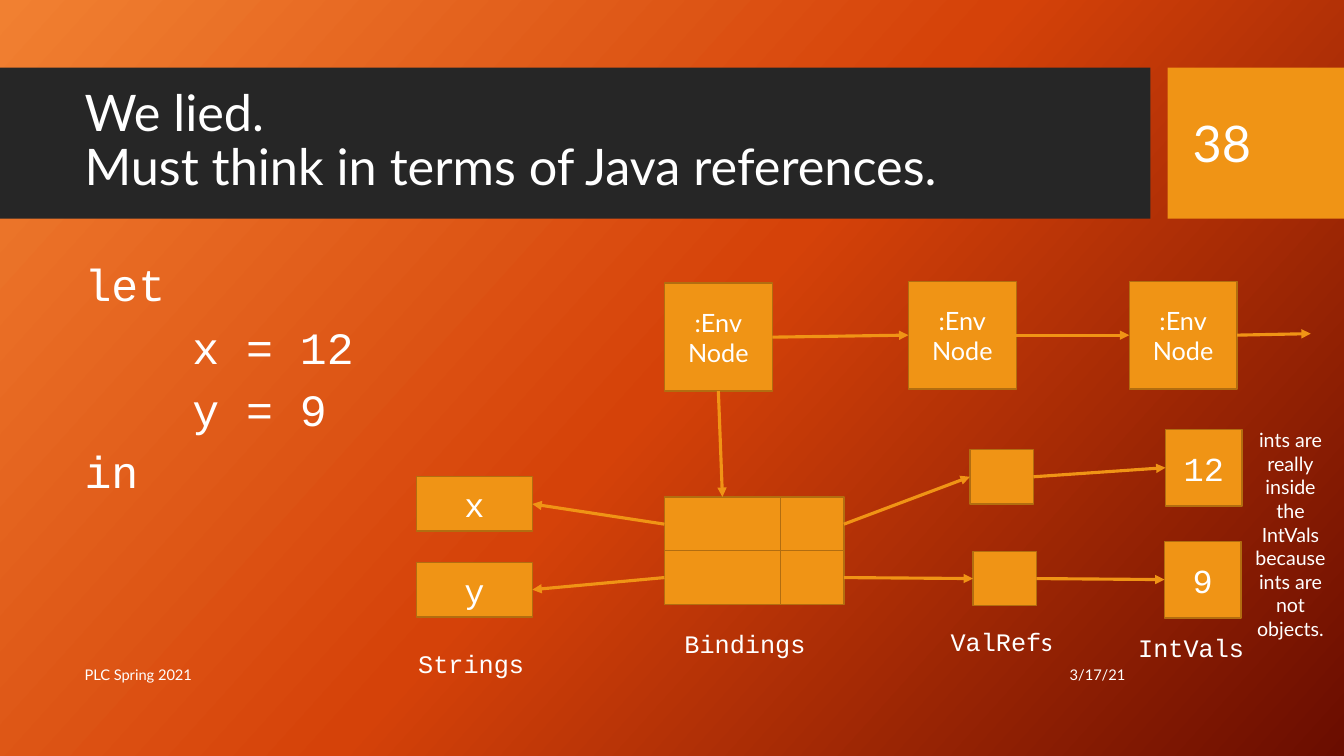
from copy import deepcopy

from lxml.etree import SubElement
from pptx import Presentation
from pptx.dml.color import RGBColor
from pptx.enum.shapes import MSO_CONNECTOR, MSO_SHAPE
from pptx.enum.text import MSO_ANCHOR, MSO_AUTO_SIZE, PP_ALIGN
from pptx.oxml.ns import qn
from pptx.util import Inches, Pt

WHITE = RGBColor(0xFF, 0xFF, 0xFF)
CHARCOAL = RGBColor(0x26, 0x26, 0x26)
ORANGE = RGBColor(0xF0, 0x94, 0x15)
BROWN = RGBColor(0xB2, 0x6D, 0x10)
GRADIENT = (RGBColor(0xF1, 0x80, 0x31), RGBColor(0xD5, 0x42, 0x09),
            RGBColor(0x6A, 0x0D, 0x00))
SANS, MONO = "Lato", "Courier New"
TOP, LEFT, BOTTOM, RIGHT = range(4)  # connection sites of a rectangle


class Diagram:
    """Holds the slide and the style of its elements."""

    def __init__(self, slide):
        """Keep the slide that is drawn on."""
        self.slide = slide

    def background(self, colors, clockwise_angle):
        """Fill the background with an evenly spaced three-colour gradient."""
        fill = self.slide.background.fill
        fill.gradient()
        fill.gradient_angle = 360 - clockwise_angle
        first = self.slide.element.find(".//" + qn("a:gsLst"))[0]
        first.addnext(deepcopy(first))
        for index, (stop, color) in enumerate(zip(fill.gradient_stops, colors)):
            stop.position = index / (len(colors) - 1)
            stop.color.rgb = color

    def add_lines(self, frame, lines, size, font, align=PP_ALIGN.LEFT):
        """Add one paragraph per line and return the paragraphs."""
        for index, line in enumerate(lines):
            paragraph = frame.paragraphs[0] if index == 0 else frame.add_paragraph()
            paragraph.alignment = align
            self.add_words(paragraph, line, size, font)
        return frame.paragraphs

    def add_words(self, paragraph, words, size, font):
        """Add one white run to a paragraph."""
        run = paragraph.add_run()
        run.text = words
        run.font.size = Pt(size)
        run.font.name = font
        run.font.color.rgb = WHITE

    def box(self, left, top, width, height, lines=(), size=24, font=MONO,
            fill=ORANGE, outline=BROWN):
        """Draw a rectangle with centred text."""
        shape = self.slide.shapes.add_shape(
            MSO_SHAPE.RECTANGLE, Inches(left), Inches(top), Inches(width), Inches(height))
        shape.shadow.inherit = False
        shape.fill.solid()
        shape.fill.fore_color.rgb = fill
        if outline is None:
            shape.line.fill.background()
        else:
            shape.line.color.rgb = outline
            shape.line.width = Pt(1)
        shape.text_frame.vertical_anchor = MSO_ANCHOR.MIDDLE
        self.add_lines(shape.text_frame, lines, size, font, PP_ALIGN.CENTER)
        return shape

    def text(self, left, top, width, height, lines, size, font=SANS,
             align=PP_ALIGN.LEFT, anchor=MSO_ANCHOR.TOP, wrap=True, grow=False):
        """Place a text box and return its paragraphs."""
        frame = self.slide.shapes.add_textbox(
            Inches(left), Inches(top), Inches(width), Inches(height)).text_frame
        frame.word_wrap = wrap
        frame.vertical_anchor = anchor
        if grow:
            frame.auto_size = MSO_AUTO_SIZE.SHAPE_TO_FIT_TEXT
        return self.add_lines(frame, lines, size, font, align)

    def label(self, left, top, width, name):
        """Name a group of boxes and return the paragraph."""
        return self.text(left, top, width, 0.4, [name], 18, MONO,
                         wrap=False, grow=True)[0]

    def arrow(self, source, source_site, target=None, target_site=LEFT, end=(0, 0)):
        """Draw an arrow from a box to another box, or to a free end."""
        connector = self.slide.shapes.add_connector(
            MSO_CONNECTOR.STRAIGHT, 0, 0, Inches(end[0]), Inches(end[1]))
        connector.begin_connect(source, source_site)
        if target is not None:
            connector.end_connect(target, target_site)
        connector.line.color.rgb = ORANGE
        connector.line.width = Pt(2.25)
        properties = connector.element.spPr
        SubElement(properties.get_or_add_ln(), qn("a:tailEnd"), type="triangle")
        SubElement(properties, qn("a:effectLst"))


def add_header(diagram):
    """Draw the title band, slide number and footer."""
    diagram.box(0, 0.67, 11.41, 1.5, fill=CHARCOAL, outline=None)
    diagram.box(11.58, 0.67, 1.75, 1.5, outline=None)
    middle = MSO_ANCHOR.MIDDLE
    title = diagram.text(0.74, 0.82, 10.51, 1.18, ["We lied."], 36, anchor=middle)[0]
    title.line_spacing = 0.9
    title.add_line_break()
    diagram.add_words(title, "Must think in terms of Java references.", 36, SANS)
    diagram.text(11.73, 0.82, 1.26, 1.19, ["38"], 36, anchor=middle)
    diagram.text(0.74, 6.49, 7.51, 0.4, ["PLC Spring 2021"], 10.5, anchor=middle)
    diagram.text(8.26, 6.49, 3, 0.4, ["3/17/21"], 10.5, align=PP_ALIGN.RIGHT,
                 anchor=middle)


def add_code(diagram):
    """Show the let expression with its bindings indented."""
    code = diagram.text(0.74, 2.56, 5.14, 2.63, ["let", "x = 12", "y = 9", "in"],
                        32, MONO)
    for line in code:
        line.line_spacing = 0.9
        line.space_before = Pt(10)
    for binding in code[1:3]:
        properties = binding._p.get_or_add_pPr()
        properties.set("marL", str(Inches(1.07)))
        properties.set("indent", "0")


def add_environment(diagram):
    """Draw the environment nodes, the bindings and what they refer to."""
    nodes = [diagram.box(left, top, 1.07, 1.07, [":Env", "Node"], 18, SANS)
             for left, top in ((6.59, 2.81), (9.01, 2.79), (11.2, 2.79))]
    for node, following in zip(nodes, nodes[1:]):
        diagram.arrow(node, RIGHT, following)
    diagram.arrow(nodes[-1], RIGHT, end=(13, 3.31))

    name_width, ref_width, row_height = 1.15, 0.63, 0.54
    rows = (  # symbol, its top, binding top, ValRef corner, value, IntVal corner
        ("x", 4.73, 4.93, (9.62, 4.46), "12", (11.56, 4.26)),
        ("y", 5.58, 5.46, (9.65, 5.47), "9", (11.55, 5.37)),
    )
    name_cells = []
    for symbol, symbol_top, binding_top, val_ref_at, value, int_val_at in rows:
        name_cell = diagram.box(6.59, binding_top, name_width, row_height)
        ref_cell = diagram.box(6.59 + name_width, binding_top, ref_width, row_height)
        string = diagram.box(4.13, symbol_top, name_width, row_height, [symbol])
        val_ref = diagram.box(*val_ref_at, ref_width, row_height)
        int_val = diagram.box(*int_val_at, 0.76, 0.76, [value])
        diagram.arrow(name_cell, LEFT, string, RIGHT)
        diagram.arrow(ref_cell, RIGHT, val_ref)
        diagram.arrow(val_ref, RIGHT, int_val)
        name_cells.append(name_cell)
    diagram.arrow(nodes[0], BOTTOM, name_cells[0], TOP)


def add_labels(diagram):
    """Name the groups of objects and explain the IntVals."""
    diagram.label(4.05, 6.38, 1.26, "Strings")
    diagram.label(6.69, 6.18, 1.41, "Bindings")
    val_refs = diagram.label(9.33, 6.16, 1.21, "ValRef")
    diagram.add_words(val_refs, "s", 18, SANS)
    diagram.label(11.19, 6.22, 1.26, "IntVals")
    remark = ["ints are", "really", "inside", "the", "IntVals", "because",
              "ints are", "not", "objects."]
    diagram.text(12.33, 4.2, 0.94, 2.22, remark, 14, align=PP_ALIGN.CENTER, grow=True)


def main():
    """Build and save the slide."""
    presentation = Presentation()
    presentation.slide_width = Inches(13.33)
    presentation.slide_height = Inches(7.5)
    diagram = Diagram(presentation.slides.add_slide(presentation.slide_layouts[6]))
    diagram.background(GRADIENT, 42)
    add_header(diagram)
    add_code(diagram)
    add_environment(diagram)
    add_labels(diagram)
    presentation.save("out.pptx")


main()
